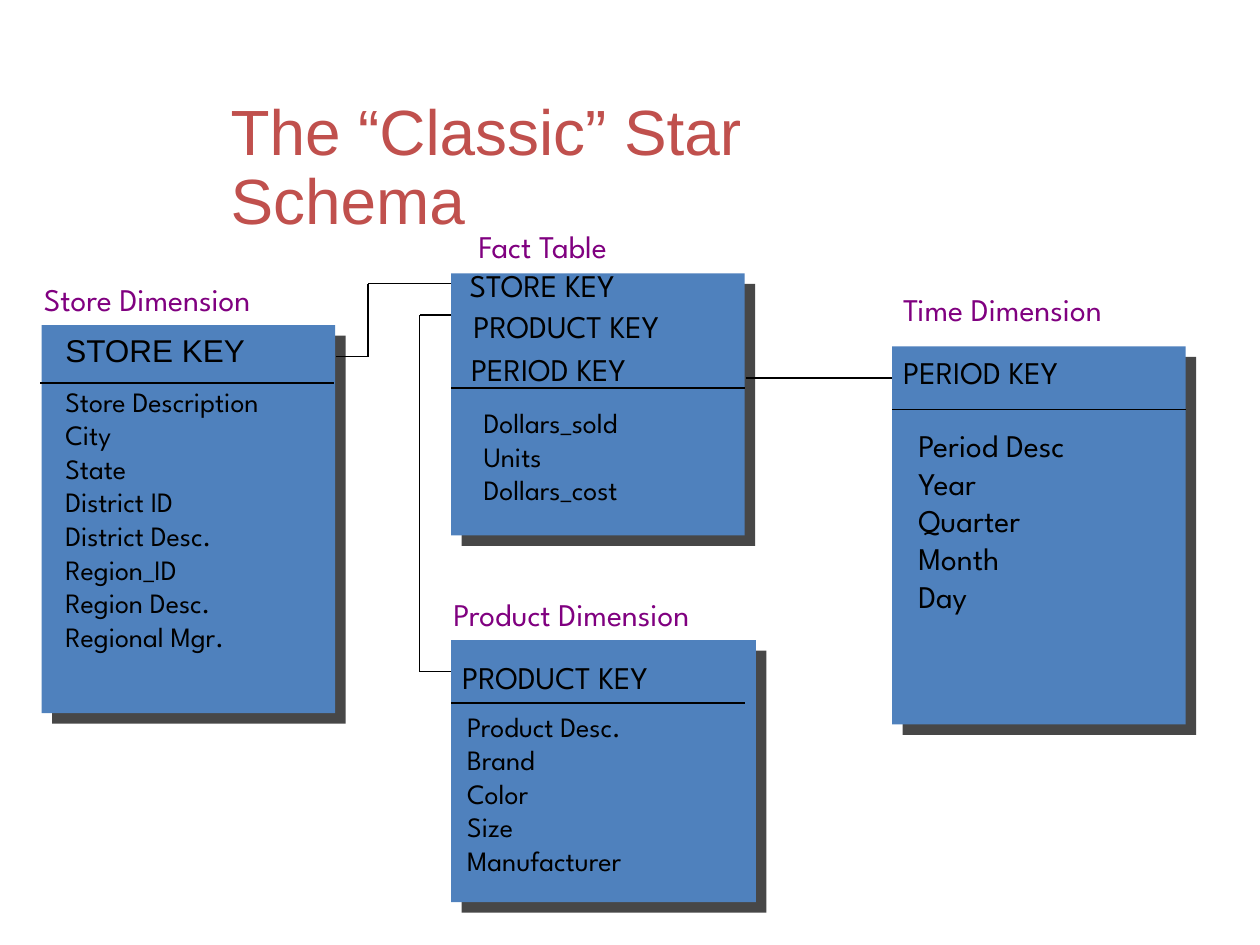
from dataclasses import dataclass
from itertools import pairwise

from lxml.etree import SubElement
from pptx import Presentation
from pptx.dml.color import RGBColor
from pptx.enum.shapes import MSO_CONNECTOR as Connector, MSO_SHAPE as Shape
from pptx.enum.text import MSO_ANCHOR as Anchor, MSO_AUTO_SIZE as AutoSize
from pptx.enum.text import PP_ALIGN as Align
from pptx.oxml.ns import qn
from pptx.util import Inches, Pt

BLUE = RGBColor(0x4F, 0x81, 0xBD)
RED = RGBColor(0xC0, 0x50, 0x4D)
PURPLE = RGBColor(0x80, 0x00, 0x80)
BLACK = RGBColor(0x00, 0x00, 0x00)
SHADOW = RGBColor(0x47, 0x47, 0x47)
BODY_FONT = "League Spartan"
TITLE_FONT = "Arial"


@dataclass
class Label:
    lines: list[str]
    left: float
    top: float
    width: float
    size: float = 18
    color: RGBColor = BLACK
    font: str = BODY_FONT


@dataclass
class Entity:
    left: float
    top: float
    width: float
    height: float
    rule: tuple[float, float]  # start of the line under the keys
    heading: Label
    keys: list[Label]
    fields: Label


@dataclass
class Link:
    points: list[tuple[float, float]]


RULE_WIDTH = 2.33
ENTITIES = [
    Entity(0.33, 2.58, 2.33, 3.08, (0.32, 3.04),
           Label(["Store Dimension"], 0.25, 2.17, 2.43, color=PURPLE),
           [Label(["STORE KEY"], 0.42, 2.58, 1.8, font=TITLE_FONT)],
           Label(["Store Description", "City", "State", "District ID",
                  "District Desc.", "Region_ID", "Region Desc.",
                  "Regional Mgr."], 0.42, 3, 2.35, 16)),
    Entity(3.58, 5.08, 2.42, 2.08, (3.58, 5.58),
           Label(["Product Dimension"], 3.5, 4.67, 2.46, color=PURPLE),
           [Label(["PRODUCT KEY"], 3.57, 5.17, 1.87)],
           Label(["Product Desc.", "Brand", "Color", "Size", "Manufacturer"],
                 3.61, 5.58, 1.64, 16)),
    Entity(3.58, 2.17, 2.33, 2.08, (3.58, 3.08),
           Label(["Fact Table"], 3.7, 1.75, 1.39, color=PURPLE),
           [Label(["STORE KEY"], 3.63, 2.06, 1.47),
            Label(["PRODUCT KEY"], 3.66, 2.39, 1.87),
            Label(["PERIOD KEY"], 3.64, 2.73, 1.61)],
           Label(["Dollars_sold", "Units", "Dollars_cost"], 3.74, 3.17, 1.47, 16)),
    Entity(7.08, 2.75, 2.33, 3, (7.08, 3.25),
           Label(["Time Dimension"], 7.07, 2.25, 2.11, color=PURPLE),
           [Label(["PERIOD KEY"], 7.07, 2.75, 1.61)],
           Label(["Period Desc", "Year", "Quarter", "Month", "Day"],
                 7.19, 3.33, 1.6)),
]
LINKS = [
    Link([(5.92, 3), (7.08, 3)]),
    Link([(3.58, 2.5), (3.33, 2.5), (3.33, 5.33), (3.58, 5.33)]),
    Link([(3.58, 2.25), (2.92, 2.25), (2.92, 2.83), (2.67, 2.83)]),
]


def add_label(page, label: Label) -> None:
    line_height = label.size / 72 * 1.2
    box = page.shapes.add_textbox(
        Inches(label.left), Inches(label.top), Inches(label.width),
        Inches(0.1 + line_height * len(label.lines)))
    frame = box.text_frame
    frame.word_wrap = True
    frame.text = "\n".join(label.lines)
    for para in frame.paragraphs:
        para.font.name = label.font
        para.font.size = Pt(label.size)
        para.font.color.rgb = label.color


def add_line(page, start: tuple[float, float], end: tuple[float, float]) -> None:
    line = page.shapes.add_connector(
        Connector.STRAIGHT, *(Inches(value) for value in (*start, *end)))
    line.line.color.rgb = BLACK
    line.line.width = Pt(1)
    SubElement(line._element.spPr, qn("a:effectLst"))


def add_panel(page, entity: Entity) -> None:
    panel = page.shapes.add_shape(
        Shape.RECTANGLE, Inches(entity.left), Inches(entity.top),
        Inches(entity.width), Inches(entity.height))
    panel.fill.solid()
    panel.fill.fore_color.rgb = BLUE
    panel.line.fill.background()
    # Hard shadow, down and to the right
    panel.shadow.inherit = False
    effects = panel._element.spPr.find(qn("a:effectLst"))
    shadow = SubElement(effects, qn("a:outerShdw"), blurRad="0",
                        dist=str(Pt(8.5)), dir="2700000", algn="ctr",
                        rotWithShape="0")
    SubElement(shadow, qn("a:srgbClr"), val=str(SHADOW))


def add_entity(page, entity: Entity) -> None:
    add_panel(page, entity)
    left, top = entity.rule
    add_line(page, (left, top), (left + RULE_WIDTH, top))
    for label in (entity.heading, *entity.keys, entity.fields):
        add_label(page, label)


def set_title(page, text: str) -> None:
    title = page.shapes.title
    title.left, title.top = Inches(1.83), Inches(0.58)
    title.width, title.height = Inches(5.83), Inches(1.31)
    frame = title.text_frame
    frame.text = text
    frame.word_wrap = True
    frame.auto_size = AutoSize.NONE
    frame.vertical_anchor = Anchor.BOTTOM
    frame.margin_left = frame.margin_right = 0
    frame.margin_top = frame.margin_bottom = 0
    para = frame.paragraphs[0]
    para.alignment = Align.LEFT
    para.line_spacing = 0.9
    para.font.name = TITLE_FONT
    para.font.size = Pt(36.5)
    para.font.color.rgb = RED


def main() -> None:
    deck = Presentation()
    deck.slide_width, deck.slide_height = Inches(10), Inches(7.5)
    page = deck.slides.add_slide(deck.slide_layouts[5])
    set_title(page, "The “Classic” Star Schema")

    # Tables of the schema
    for entity in ENTITIES:
        add_entity(page, entity)

    # Key relationships
    for link in LINKS:
        for start, end in pairwise(link.points):
            add_line(page, start, end)

    deck.save("out.pptx")


if __name__ == "__main__":
    main()
